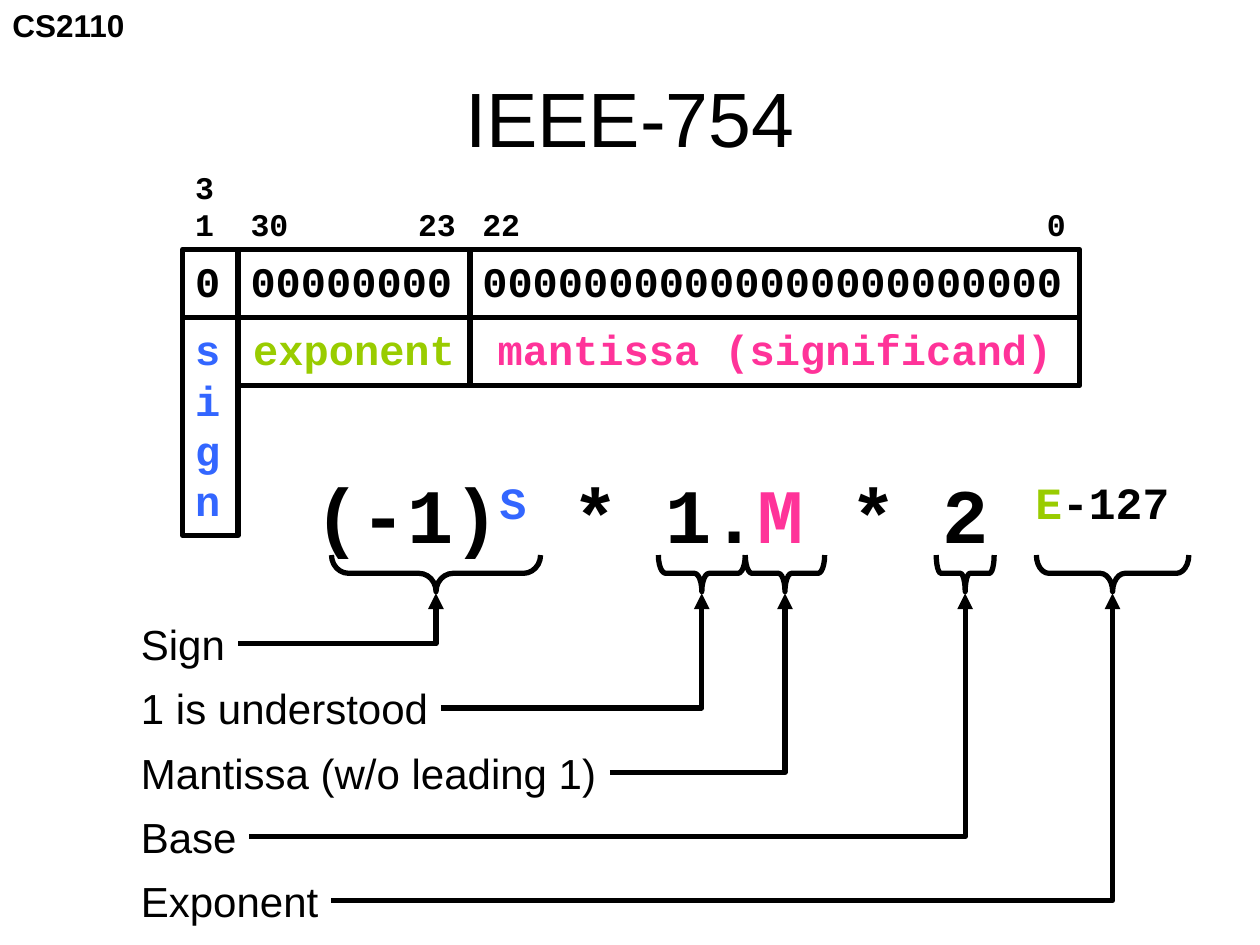
"""Build the IEEE-754 floating point format slide."""
from dataclasses import dataclass
from typing import Any

from pptx import Presentation
from pptx.dml.color import RGBColor
from pptx.enum.shapes import MSO_CONNECTOR as Connector, MSO_SHAPE as Preset
from pptx.enum.text import MSO_ANCHOR as Anchor, PP_ALIGN as Align
from pptx.oxml.ns import qn
from pptx.util import Inches, Pt
from lxml.etree import SubElement

BLACK, BLUE, GREEN, PINK = "000000", "3366FF", "99CC00", "FF3399"
PLAIN = {"name": "Arial", "size": Pt(24), "bold": False}
CODE = {"name": "Courier New", "size": Pt(24), "bold": True}
BIT_LABEL = CODE | {"size": Pt(18)}
FORMULA = CODE | {"size": Pt(44)}

BIT_TOP, ROW_HEIGHT = 1.98, 0.54
BRACE_MIDDLE, BRACE_DEPTH, ARROW_TIP = 4.55, 0.29, 4.71
LABEL_LEFT, LABEL_TOP, LABEL_PITCH = 1.02, 4.86, 0.51


@dataclass
class Run:
    text: str
    color: str = BLACK
    superscript: bool = False


@dataclass
class Field:
    left: float
    width: float
    positions: str
    bits: str
    name: list[str]
    color: str
    name_height: float = ROW_HEIGHT
    align: Any = Align.CENTER


@dataclass
class Part:
    label: str
    label_width: float
    center: float
    brace_length: float


FIELDS = [
    Field(1.45, 0.44, "31", "0", list("sign"), BLUE, 1.73, Align.LEFT),
    Field(1.89, 1.84, "30\t23", "0" * 8, ["exponent"], GREEN),
    Field(3.73, 4.84, "22\t0", "0" * 23, ["mantissa (significand)"], PINK),
]
PARTS = [
    Part("Sign", 0.87, 3.46, 1.66),
    Part("1 is understood", 2.48, 5.57, 0.69),
    Part("Mantissa (w/o leading 1)", 3.82, 6.23, 0.63),
    Part("Base", 0.96, 7.66, 0.46),
    Part("Exponent", 1.61, 8.83, 1.21),
]
FORMULA_RUNS = [
    Run("(-1)"), Run("S", BLUE, True), Run(" * 1."), Run("M", PINK),
    Run(" * 2 "), Run("E", GREEN, True), Run("-127", BLACK, True),
]


def rgb(value: str) -> RGBColor:
    return RGBColor.from_string(value)


def set_line(shape: Any) -> None:
    shape.line.color.rgb = rgb(BLACK)
    shape.line.width = Pt(3)


def write(shape: Any, paragraphs: list[list[Run]], style: dict[str, Any],
          align: Any = Align.LEFT, anchor: Any = Anchor.TOP,
          wrap: bool = False, right_tab: float = 0) -> None:
    frame = shape.text_frame
    frame.word_wrap = wrap
    frame.vertical_anchor = anchor
    for index, runs in enumerate(paragraphs):
        paragraph = frame.add_paragraph() if index else frame.paragraphs[0]
        paragraph.alignment = align
        if right_tab:
            tabs = SubElement(paragraph._p.get_or_add_pPr(), qn("a:tabLst"))
            SubElement(tabs, qn("a:tab"), pos=str(Inches(right_tab)), algn="r")
        for item in runs:
            run = paragraph.add_run()
            run.text = item.text
            for attribute, value in style.items():
                setattr(run.font, attribute, value)
            run.font.color.rgb = rgb(item.color)
            if item.superscript:
                run._r.get_or_add_rPr().set("baseline", "30000")


def add_text(slide: Any, left: float, top: float, width: float, height: float,
             runs: list[Run], style: dict[str, Any], **layout: Any) -> None:
    box = slide.shapes.add_textbox(
        Inches(left), Inches(top), Inches(width), Inches(height))
    write(box, [runs], style, **layout)


def add_outline(slide: Any, preset: Any, left: float, top: float,
                width: float, height: float) -> Any:
    shape = slide.shapes.add_shape(
        preset, Inches(left), Inches(top), Inches(width), Inches(height))
    shape.shadow.inherit = False
    shape.fill.background()
    set_line(shape)
    return shape


def add_field(slide: Any, field: Field) -> None:
    left, width = field.left, field.width
    add_text(slide, left, BIT_TOP - ROW_HEIGHT, width, ROW_HEIGHT,
             [Run(field.positions)], BIT_LABEL, anchor=Anchor.BOTTOM,
             wrap="\t" in field.positions,
             right_tab=width - 0.21 if "\t" in field.positions else 0)
    bits = add_outline(slide, Preset.RECTANGLE, left, BIT_TOP, width, ROW_HEIGHT)
    write(bits, [[Run(field.bits)]], CODE)
    name = add_outline(slide, Preset.RECTANGLE, left, BIT_TOP + ROW_HEIGHT,
                       width, field.name_height)
    write(name, [[Run(line, field.color)] for line in field.name], CODE, field.align)


def add_brace(slide: Any, center: float, length: float) -> None:
    brace = add_outline(slide, Preset.RIGHT_BRACE, center - BRACE_DEPTH / 2,
                        BRACE_MIDDLE - length / 2, BRACE_DEPTH, length)
    brace.rotation = 90
    brace.adjustments[0] = round(length * 0.283, 2)
    brace.adjustments[1] = 0.5


def add_bent_arrow(slide: Any, left: float, top: float, tip: float) -> None:
    arrow = slide.shapes.add_connector(
        Connector.ELBOW, Inches(left), Inches(top), Inches(tip), Inches(ARROW_TIP))
    set_line(arrow)
    properties = arrow._element.spPr
    properties.find(qn("a:prstGeom")).set("prst", "bentConnector2")
    SubElement(properties.find(qn("a:ln")), qn("a:tailEnd"), type="triangle")
    SubElement(properties, qn("a:effectLst"))


def add_part(slide: Any, part: Part, row: int) -> None:
    top = LABEL_TOP + row * LABEL_PITCH
    add_text(slide, LABEL_LEFT, top, part.label_width, 0.5, [Run(part.label)], PLAIN)
    add_brace(slide, part.center, part.brace_length)
    add_bent_arrow(slide, LABEL_LEFT + part.label_width, top + 0.25, part.center)


def main() -> None:
    presentation = Presentation()
    presentation.slide_width, presentation.slide_height = Inches(10), Inches(7.5)
    slide = presentation.slides.add_slide(presentation.slide_layouts[6])
    add_text(slide, 0, 0, 1.1, 0.4, [Run("CS2110")],
             PLAIN | {"size": Pt(18), "bold": True})
    add_text(slide, 0.5, 0.3, 9, 1.25, [Run("IEEE-754")], PLAIN | {"size": Pt(44)},
             align=Align.CENTER, anchor=Anchor.MIDDLE, wrap=True)
    for field in FIELDS:
        add_field(slide, field)
    add_text(slide, 2.4, 3.65, 7.14, 0.83, FORMULA_RUNS, FORMULA)
    for row, part in enumerate(PARTS):
        add_part(slide, part, row)
    presentation.save("out.pptx")


if __name__ == "__main__":
    main()
